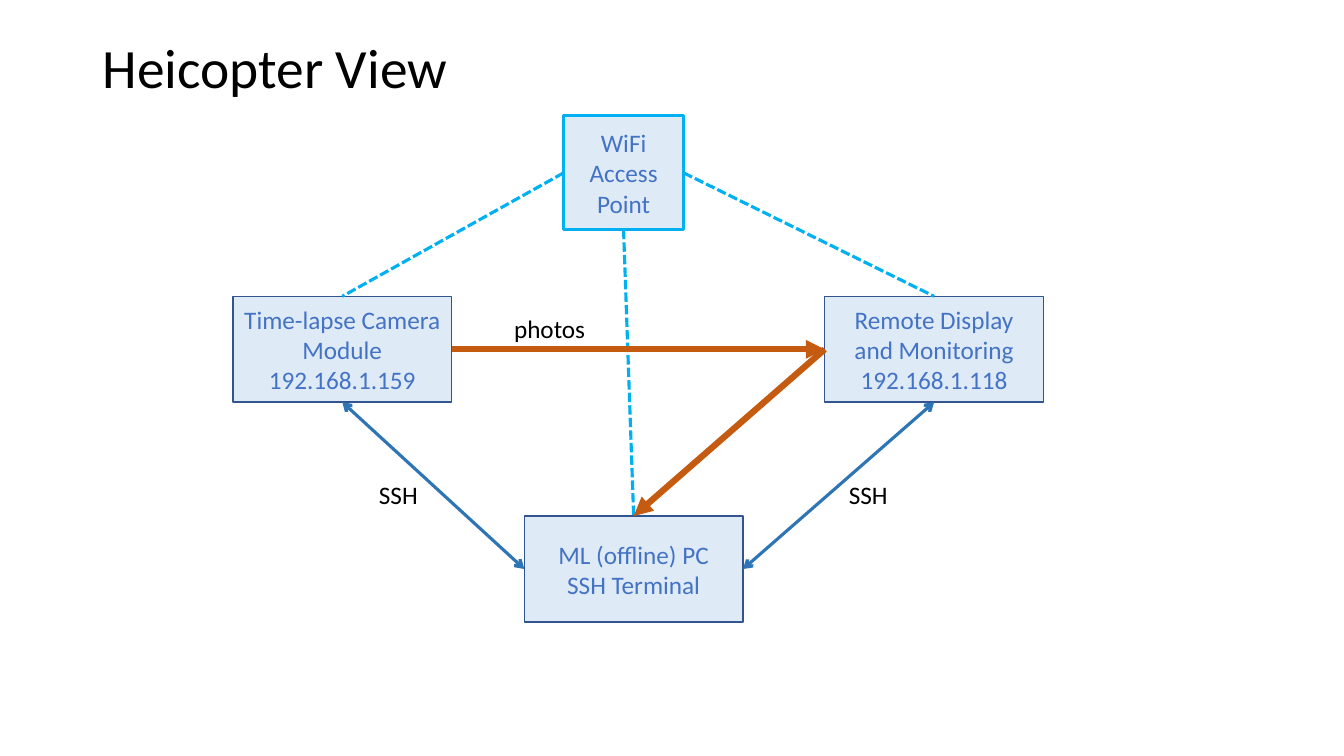
import pptx
import pptx.util
import pptx.dml.color
import pptx.enum.dml
import pptx.enum.shapes
import pptx.enum.text
import pptx.oxml
import pptx.oxml.ns
import lxml.etree

RGB = pptx.dml.color.RGBColor
BLACK = RGB(0x00, 0x00, 0x00)
PALE = RGB(0xDE, 0xEB, 0xF7)
NAVY = RGB(0x32, 0x54, 0x91)
BLUE = RGB(0x44, 0x72, 0xC4)
CYAN = RGB(0x00, 0xB0, 0xF0)
STEEL = RGB(0x2E, 0x75, 0xB6)
RUST = RGB(0xC5, 0x5A, 0x11)
PX = 9144
TOP, LEFT, BOTTOM, RIGHT = range(4)
ANCHOR = pptx.enum.text.MSO_ANCHOR
ALIGN = pptx.enum.text.PP_ALIGN


def write(shape, text, size=18, color=BLACK, align=ALIGN.LEFT,
          anchor=ANCHOR.TOP, wrap=True, space=1.0):
    frame = shape.text_frame
    frame.word_wrap = wrap
    frame.vertical_anchor = anchor
    frame.text = text
    for para in frame.paragraphs:
        para.alignment = align
        para.line_spacing = space
        para.font.name = "Calibri"
        para.font.size = pptx.util.Pt(size)
        para.font.color.rgb = color


deck = pptx.Presentation()
deck.slide_width = 1333 * PX
deck.slide_height = 750 * PX
slide = deck.slides.add_slide(deck.slide_layouts[6])
shapes = slide.shapes

title = shapes.add_textbox(92 * PX, 40 * PX, 1150 * PX, 60 * PX)
write(title, "Heicopter View", size=39.6, anchor=ANCHOR.MIDDLE, space=0.9)

nodes = {}
for name, x, y, w, h, edge, width, text in [
    ("camera", 231, 294, 217, 105, NAVY, 1, "Time-lapse Camera Module\n192.168.1.159"),
    ("wifi", 559, 115, 119, 113, CYAN, 2.25, "WiFi Access Point"),
    ("display", 818, 294, 217, 105, NAVY, 1, "Remote Display and Monitoring\n192.168.1.118"),
    ("pc", 520, 512, 217, 105, NAVY, 1, "ML (offline) PC\nSSH Terminal"),
]:
    box = shapes.add_shape(pptx.enum.shapes.MSO_SHAPE.RECTANGLE,
                           x * PX, y * PX, w * PX, h * PX)
    box.shadow.inherit = False
    box.fill.solid()
    box.fill.fore_color.rgb = PALE
    box.line.color.rgb = edge
    box.line.width = pptx.util.Pt(width)
    write(box, text, color=BLUE, align=ALIGN.CENTER, anchor=ANCHOR.MIDDLE)
    nodes[name] = box

radio = (CYAN, 2.25, True, {})
shell = (STEEL, 2.25, False, {"headEnd": "arrow", "tailEnd": "arrow"})
photo = (RUST, 4.5, False, {"tailEnd": "triangle"})
for start, out, end, into, style in [
    ("wifi", LEFT, "camera", TOP, radio),
    ("wifi", BOTTOM, "pc", TOP, radio),
    ("wifi", RIGHT, "display", TOP, radio),
    ("pc", LEFT, "camera", BOTTOM, shell),
    ("display", BOTTOM, "pc", RIGHT, shell),
    ("camera", RIGHT, "display", LEFT, photo),
    ("display", LEFT, "pc", TOP, photo),
]:
    color, width, dashed, tips = style
    link = shapes.add_connector(pptx.enum.shapes.MSO_CONNECTOR.STRAIGHT, 0, 0, 0, 0)
    link.begin_connect(nodes[start], out)
    link.end_connect(nodes[end], into)
    link.line.color.rgb = color
    link.line.width = pptx.util.Pt(width)
    if dashed:
        link.line.dash_style = pptx.enum.dml.MSO_LINE.SQUARE_DOT
    props = link.element.spPr
    stroke = props.find(pptx.oxml.ns.qn("a:ln"))
    for tip, kind in tips.items():
        lxml.etree.SubElement(stroke, pptx.oxml.ns.qn("a:" + tip), type=kind)
    lxml.etree.SubElement(props, pptx.oxml.ns.qn("a:effectLst"))

for text, x, y, w in [("SSH", 366, 471, 59), ("SSH", 832, 471, 59),
                      ("photos", 500, 306, 91)]:
    label = shapes.add_textbox(x * PX, y * PX, w * PX, 40 * PX)
    write(label, text, wrap=False)

deck.save("out.pptx")
